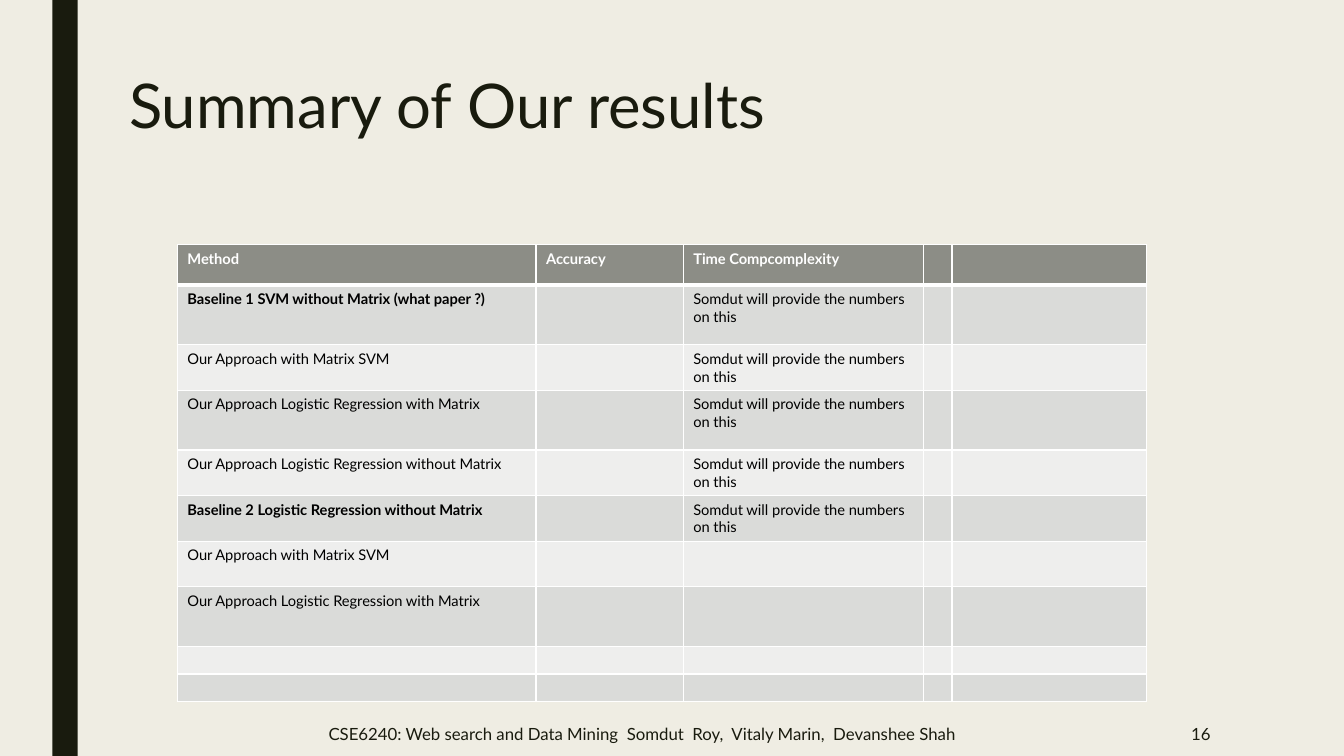
import pptx
import pptx.dml.color
import pptx.enum.shapes
import pptx.enum.text
import pptx.oxml.ns
import pptx.util
from lxml import etree
from pptx.util import Cm

FONT = "Lato"
COLORS = {
    "background": "EFEDE3",
    "ink": "191B0E",
    "header": "8C8D86",
    "dark_band": "DADBD9",
    "light_band": "EEEEED",
    "white": "FFFFFF",
    "black": "000000",
}
TIMING = "Somdut will provide the numbers on this"
ROWS = [
    ("Method", "Accuracy", "Time Compcomplexity"),
    ("Baseline 1 SVM without Matrix (what paper ?)", "", TIMING),
    ("Our Approach with Matrix SVM", "", TIMING),
    ("Our Approach Logistic Regression with Matrix", "", TIMING),
    ("Our Approach Logistic Regression without Matrix", "", TIMING),
    ("Baseline 2 Logistic Regression without Matrix", "", TIMING),
    ("Our Approach with Matrix SVM",),
    ("Our Approach Logistic Regression with Matrix",),
    (),
    (),
]
COLUMN_WIDTHS = [9.04, 3.71, 6.05, 0.72, 4.91]
ROW_HEIGHTS = [1.02, 1.5, 1.15, 1.5, 1.15, 1.15, 1.15, 1.5, 0.7, 0.7]
CELL_SIZE = 10.5


def rgb(name):
    return pptx.dml.color.RGBColor.from_string(COLORS[name])


def add_run(paragraph, text, size, color, bold=False):
    run = paragraph.add_run()
    run.text = text
    run.font.name = FONT
    run.font.size = pptx.util.Pt(size)
    run.font.bold = bold
    run.font.color.rgb = rgb(color)


def add_side_bar(slide, left, top, width, height):
    bar = slide.shapes.add_shape(
        pptx.enum.shapes.MSO_SHAPE.RECTANGLE, Cm(left), Cm(top), Cm(width), Cm(height))
    bar.shadow.inherit = False
    bar.fill.solid()
    bar.fill.fore_color.rgb = rgb("ink")
    bar.line.fill.background()


def add_title(slide, left, top, width, height, text):
    title = slide.shapes.title
    title.left, title.top, title.width, title.height = map(Cm, (left, top, width, height))
    frame = title.text_frame
    frame.auto_size = pptx.enum.text.MSO_AUTO_SIZE.NONE
    frame.vertical_anchor = pptx.enum.text.MSO_ANCHOR.TOP
    paragraph = frame.paragraphs[0]
    paragraph.alignment = pptx.enum.text.PP_ALIGN.LEFT
    paragraph.line_spacing = 0.89
    add_run(paragraph, text, 44, "ink")


def add_footer_text(slide, left, top, width, height, text, alignment):
    box = slide.shapes.add_textbox(Cm(left), Cm(top), Cm(width), Cm(height))
    frame = box.text_frame
    frame.word_wrap = True
    frame.vertical_anchor = pptx.enum.text.MSO_ANCHOR.MIDDLE
    paragraph = frame.paragraphs[0]
    paragraph.alignment = alignment
    add_run(paragraph, text, 12, "ink")


def add_footer(slide, left, top, width, height):
    align = pptx.enum.text.PP_ALIGN
    number_width = 4.45
    add_footer_text(
        slide, left, top, 17.45, height,
        "CSE6240: Web search and Data Mining  Somdut  Roy,  Vitaly Marin,  Devanshee Shah",
        align.LEFT)
    add_footer_text(
        slide, left + width - number_width, top, number_width, height, "16", align.RIGHT)


def set_border(cell, side, width):
    qn = pptx.oxml.ns.qn
    properties = cell._tc.get_or_add_tcPr()
    line = etree.SubElement(properties, qn("a:ln" + side), w=str(pptx.util.Pt(width)))
    fill = etree.SubElement(line, qn("a:solidFill"))
    etree.SubElement(fill, qn("a:srgbClr"), val=COLORS["white"])


def format_cell(cell, text, row_index):
    is_header = row_index == 0
    for side in "LRTB":
        is_header_edge = (row_index, side) in ((0, "B"), (1, "T"))
        set_border(cell, side, 3 if is_header_edge else 1)
    band = "dark_band" if row_index % 2 else "light_band"
    cell.fill.solid()
    cell.fill.fore_color.rgb = rgb("header" if is_header else band)
    paragraph = cell.text_frame.paragraphs[0]
    if text:
        bold = is_header or text.startswith("Baseline")
        add_run(paragraph, text, CELL_SIZE, "white" if is_header else "black", bold)
    else:
        etree.SubElement(
            paragraph._p, pptx.oxml.ns.qn("a:endParaRPr"), sz=str(int(CELL_SIZE * 100)))


def add_results_table(slide, left, top):
    frame = slide.shapes.add_table(
        len(ROW_HEIGHTS), len(COLUMN_WIDTHS), Cm(left), Cm(top),
        Cm(sum(COLUMN_WIDTHS)), Cm(sum(ROW_HEIGHTS)))
    table = frame.table
    for column, width in zip(table.columns, COLUMN_WIDTHS):
        column.width = Cm(width)
    for row_index, (row, height) in enumerate(zip(table.rows, ROW_HEIGHTS)):
        row.height = Cm(height)
        texts = ROWS[row_index]
        for column_index, cell in enumerate(row.cells):
            text = texts[column_index] if column_index < len(texts) else ""
            format_cell(cell, text, row_index)


def build_results_slide(presentation):
    slide = presentation.slides.add_slide(presentation.slide_layouts[5])
    slide.background.fill.solid()
    slide.background.fill.fore_color.rgb = rgb("background")
    add_side_bar(slide, 1.32, 0, 0.64, 19.05)
    add_title(slide, 3, 1.78, 26.67, 4.11, "Summary of Our results")
    add_footer(slide, 8.03, 17.93, 22.73, 1.12)
    add_results_table(slide, 4.47, 6.17)


def main():
    presentation = pptx.Presentation()
    presentation.slide_width = Cm(33.87)
    presentation.slide_height = Cm(19.05)
    build_results_slide(presentation)
    presentation.save("out.pptx")


if __name__ == "__main__":
    main()
